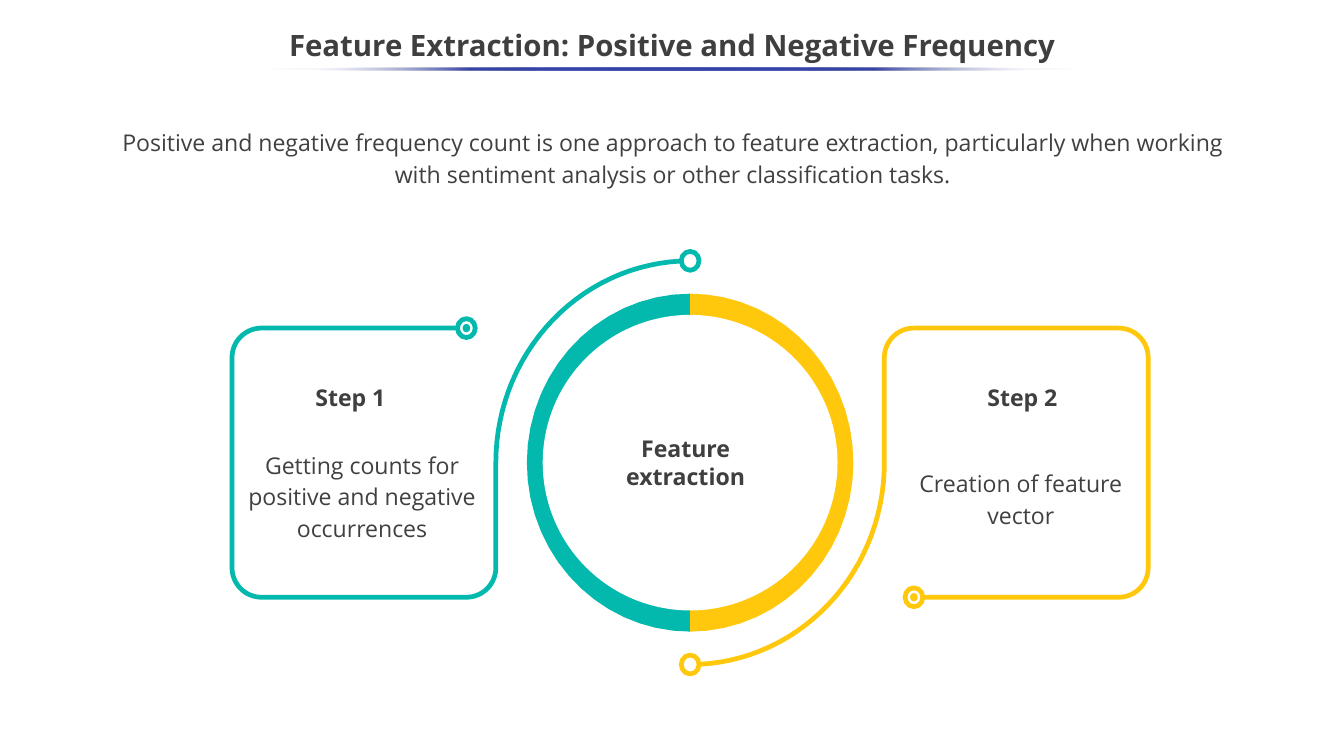
from dataclasses import dataclass
from math import cos, radians, sin

from pptx import Presentation
from pptx.dml.color import RGBColor
from pptx.enum.shapes import MSO_SHAPE
from pptx.enum.text import MSO_ANCHOR, PP_ALIGN
from pptx.oxml import parse_xml
from pptx.oxml.ns import nsdecls
from pptx.util import Inches, Pt

OVAL = MSO_SHAPE.OVAL
TOP, MIDDLE = MSO_ANCHOR.TOP, MSO_ANCHOR.MIDDLE
CENTER = PP_ALIGN.CENTER


@dataclass(frozen=True)
class Theme:
    font: str = "Open Sans"
    ink: str = "3F3F3F"
    body_ink: str = "404040"
    teal: str = "03B9AD"
    yellow: str = "FFC80C"
    white: str = "FFFFFF"
    rule: str = "3645A9"
    title_size: int = 28
    text_size: int = 22
    track_width: float = 4.5


THEME = Theme()
HEADING = {"size": Pt(THEME.text_size), "bold": True, "color": THEME.ink}
BODY = {"size": Pt(THEME.text_size), "bold": False, "color": THEME.body_ink}
TITLE = {**HEADING, "size": Pt(THEME.title_size)}

# words, (left, top, width, height), format, line spacing, anchor, top inset
TEXTS = [
    ("Feature Extraction: Positive and Negative Frequency",
     (-0.01, 0.25, 17.8, 0.75), TITLE, 0.9, MIDDLE, 0.05),
    ("Positive and negative frequency count is one approach to feature extraction, "
     "particularly when working with sentiment analysis or other classification tasks.",
     (1.41, 1.65, 14.98, 0.99), BODY, 1.14, TOP, 0),
    ("Step 1", (2.63, 4.98, 4.01, 0.5), HEADING, 1.14, MIDDLE, 0.05),
    ("Getting counts for positive and negative occurrences",
     (3.11, 5.86, 3.36, 1.37), BODY, 1.14, MIDDLE, 0.05),
    ("Step 2", (11.52, 4.97, 4.01, 0.52), HEADING, 1.14, MIDDLE, 0.05),
    ("Creation of feature vector", (11.63, 6.1, 3.75, 0.95), BODY, 1.14, MIDDLE, 0.05),
    ("Feature extraction", (7.98, 5.7, 2.18, 0.84), HEADING, 1.0, TOP, 0.05),
]
RULE_BOX = (3.57, 0.89, 10.64, 0.04)
RULE_STOPS = [(0, THEME.white, 0), (25, THEME.rule, 100), (75, THEME.rule, 100),
              (100, THEME.white, 0)]

# The second step is the first one turned half round about the hub
STEP_SIDES = [(THEME.teal, 1), (THEME.yellow, -1)]
HUB = (9.13, 6.12)
DISC_RADII = (2.16, 2.235)
HOLE_SIZE = (3.9, 3.91)
RING_SIZE = (0.235, 0.25)
DOT_SIZE = (0.1, 0.11)

# Track distances are measured from the hub
FAR, NEAR, HALF_HEIGHT, CORNER, SWEEP = 6.06, 2.57, 1.78, 0.39, 2.67
CARD_END = (-2.96, -HALF_HEIGHT)
HUB_END = (0, -SWEEP)


def rgb(value):
    return RGBColor.from_string(value)


def arc(center, radii, start, end):
    """Points of an elliptical arc; degrees run clockwise from the right."""
    steps = 30
    angles = [radians(start + (end - start) * i / steps) for i in range(steps + 1)]
    return [(center[0] + radii[0] * cos(a), center[1] + radii[1] * sin(a)) for a in angles]


def around_hub(point, side):
    return tuple(h + side * p for h, p in zip(HUB, point))


def paint(shape, fill=None, line=None):
    shape.shadow.inherit = False
    if fill:
        shape.fill.solid()
        shape.fill.fore_color.rgb = rgb(fill)
    else:
        shape.fill.background()
    if line:
        shape.line.color.rgb = rgb(line)
        shape.line.width = Pt(THEME.track_width)
    else:
        shape.line.fill.background()


def add_outline(slide, points, side, close, **colors):
    turned = [tuple(Inches(v) for v in around_hub(p, side)) for p in points]
    builder = slide.shapes.build_freeform(*turned[0])
    builder.add_line_segments(turned[1:], close=close)
    paint(builder.convert_to_shape(), **colors)


def add_oval(slide, center, size, **colors):
    box = [c - s / 2 for c, s in zip(center, size)] + list(size)
    paint(slide.shapes.add_shape(OVAL, *map(Inches, box)), **colors)


def add_text(slide, words, box, style, spacing, anchor, inset):
    frame = slide.shapes.add_textbox(*map(Inches, box)).text_frame
    settings = {"word_wrap": True, "vertical_anchor": anchor,
                "margin_top": Inches(inset), "margin_bottom": Inches(inset)}
    for key, value in settings.items():
        setattr(frame, key, value)
    paragraph = frame.paragraphs[0]
    paragraph.alignment = CENTER
    paragraph.line_spacing = spacing
    run = paragraph.add_run()
    run.text = words
    for key in ("size", "bold"):
        setattr(run.font, key, style[key])
    run.font.name = THEME.font
    run.font.color.rgb = rgb(style["color"])


def add_title_rule(slide):
    rule = slide.shapes.add_shape(OVAL, *map(Inches, RULE_BOX))
    paint(rule)
    stops = "".join(
        f'<a:gs pos="{pos * 1000}"><a:srgbClr val="{color}">'
        f'<a:alpha val="{alpha * 1000}"/></a:srgbClr></a:gs>'
        for pos, color, alpha in RULE_STOPS)
    gradient = parse_xml(f'<a:gradFill {nsdecls("a")}><a:gsLst>{stops}</a:gsLst>'
                         '<a:lin ang="10800000" scaled="0"/></a:gradFill>')
    properties = rule.fill._xPr
    properties.replace(properties.eFill, gradient) if hasattr(properties, "eFill") else \
        properties.replace(properties.find(gradient.tag.replace("gradFill", "noFill")), gradient)


def step_track():
    """Centre line from the card's open end, round the card, to the hub's top."""
    left, right = -FAR + CORNER, -NEAR - CORNER
    top, bottom = -HALF_HEIGHT + CORNER, HALF_HEIGHT - CORNER
    corner = (CORNER, CORNER)
    return [CARD_END,
            *arc((left, top), corner, 270, 180),
            *arc((left, bottom), corner, 180, 90),
            *arc((right, bottom), corner, 90, 0),
            *arc((0, 0), (NEAR, SWEEP), 180, 270)]


def main():
    deck = Presentation()
    deck.slide_width, deck.slide_height = Inches(17.78), Inches(10)
    slide = deck.slides.add_slide(deck.slide_layouts[6])

    add_title_rule(slide)
    for color, side in STEP_SIDES:
        add_outline(slide, arc((0, 0), DISC_RADII, 90, 270), side, True, fill=color)
    add_oval(slide, HUB, HOLE_SIZE, fill=THEME.white)
    for color, side in STEP_SIDES:
        add_outline(slide, step_track(), side, False, line=color)
        for end in (CARD_END, HUB_END):
            add_oval(slide, around_hub(end, side), RING_SIZE, fill=THEME.white, line=color)
        add_oval(slide, around_hub(CARD_END, side), DOT_SIZE, fill=color)
    for text in TEXTS:
        add_text(slide, *text)

    deck.save("out.pptx")


if __name__ == "__main__":
    main()
